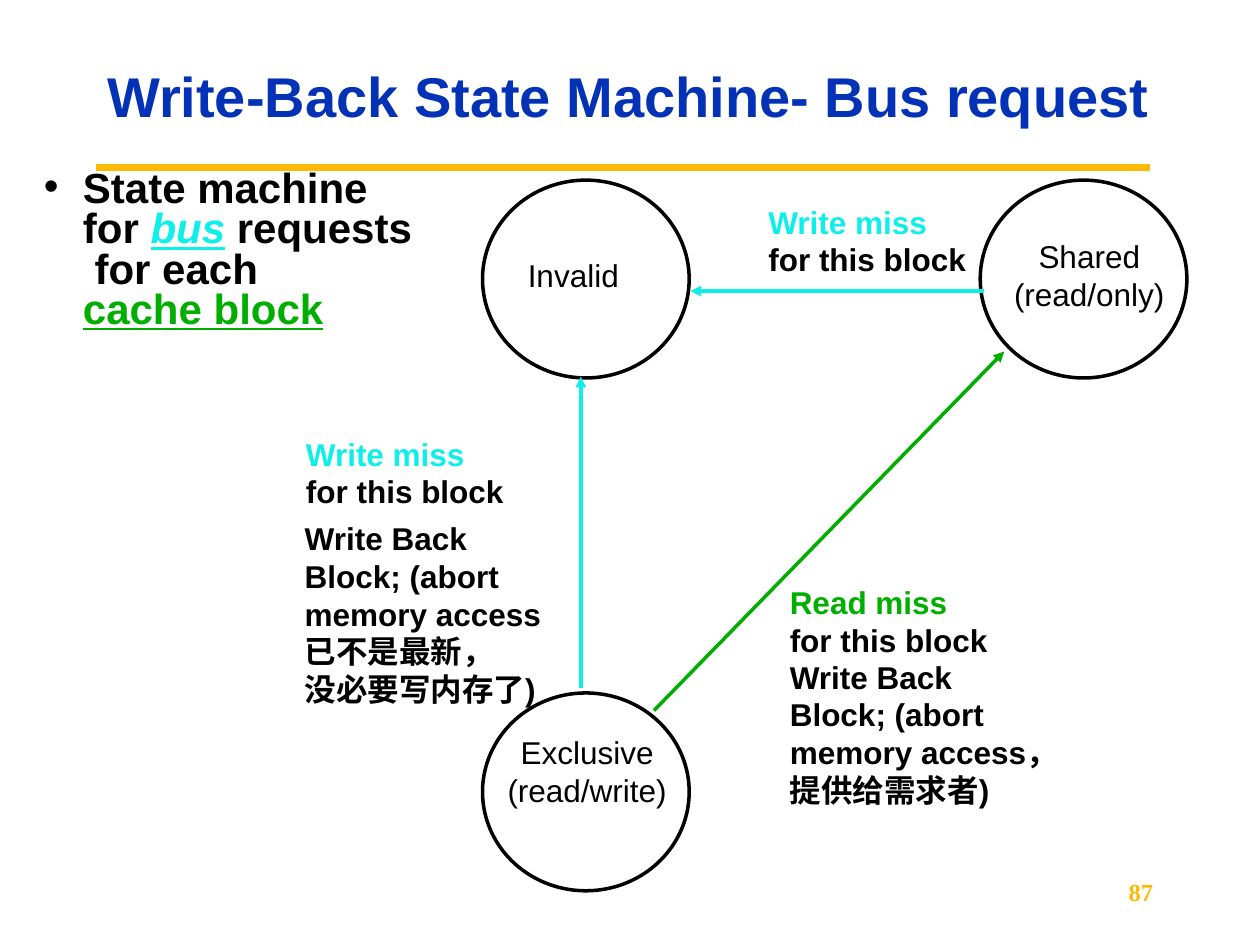
import pptx
import pptx.util
import pptx.dml.color
import pptx.enum.shapes
import pptx.enum.text
import pptx.oxml
import pptx.oxml.ns

Inches, Pt = pptx.util.Inches, pptx.util.Pt
RGBColor = pptx.dml.color.RGBColor
SHAPE = pptx.enum.shapes.MSO_SHAPE
ALIGN = pptx.enum.text.PP_ALIGN
ANCHOR = pptx.enum.text.MSO_ANCHOR
FIT = pptx.enum.text.MSO_AUTO_SIZE

BLACK = RGBColor(0x00, 0x00, 0x00)
WHITE = RGBColor(0xFF, 0xFF, 0xFF)
BLUE = RGBColor(0x03, 0x32, 0xB7)
GOLD = RGBColor(0xFB, 0xBA, 0x03)
CYAN = RGBColor(0x0F, 0xEF, 0xEA)
GREEN = RGBColor(0x00, 0xAE, 0x00)

PLAIN = {"name": "Arial", "size": Pt(18), "bold": False}
BOLD = {**PLAIN, "bold": True}
HEAD = {**BOLD, "size": Pt(32)}
BODY = {**BOLD, "size": Pt(24)}
PAGE = {"name": "Times New Roman", "size": Pt(14), "bold": True}
STATE = (1.64, 1.57)


def add_node(parent, tag, **attrs):
    node = pptx.oxml.parse_xml(
        f'<a:{tag} {pptx.oxml.ns.nsdecls("a")}/>')
    for key, value in attrs.items():
        node.set(key, value)
    parent.append(node)
    return node


def add_run(para, text, style, color=BLACK, **extra):
    for index, part in enumerate(text.split("\n")):
        if index:
            para.add_line_break()
        if part:
            run = para.add_run()
            run.text = part
            for key, value in {**style, **extra}.items():
                setattr(run.font, key, value)
            run.font.color.rgb = color


def fill_text(frame, lines, style, align=ALIGN.LEFT, color=BLACK, wrap=True):
    frame.auto_size = FIT.NONE
    frame.word_wrap = wrap
    for index, line in enumerate(lines):
        para = frame.add_paragraph() if index else frame.paragraphs[0]
        para.alignment = align
        add_run(para, line, style, color)


def add_text(slide, box, lines, style, **layout):
    frame = slide.shapes.add_textbox(*map(Inches, box)).text_frame
    fill_text(frame, lines, style, **layout)
    return frame


def add_panel(slide, box):
    shape = slide.shapes.add_shape(SHAPE.RECTANGLE, *map(Inches, box))
    shape.shadow.inherit = False
    shape.fill.solid()
    shape.fill.fore_color.rgb = WHITE
    shape.line.fill.background()
    shape.text_frame.vertical_anchor = ANCHOR.TOP
    return shape.text_frame


def add_label(slide, left, top, event, color):
    frame = add_panel(slide, (left, top, 1.77, 0.7))
    fill_text(frame, [event + " \n"], BOLD, color=color, wrap=False)
    add_run(frame.paragraphs[0], "for this block", BOLD)


def add_state(slide, left, top, filled=False):
    oval = slide.shapes.add_shape(
        SHAPE.OVAL, *map(Inches, (left, top, *STATE)))
    oval.shadow.inherit = False
    if filled:
        oval.fill.solid()
        oval.fill.fore_color.rgb = WHITE
    else:
        oval.fill.background()
    oval.line.color.rgb = BLACK
    oval.line.width = Pt(2)


def add_line(slide, start, end, color, width=2, arrow=True):
    line = slide.shapes.add_connector(
        pptx.enum.shapes.MSO_CONNECTOR.STRAIGHT, *map(Inches, start + end))
    line.line.color.rgb = color
    line.line.width = Pt(width)
    if arrow:
        add_node(line.line._get_or_add_ln(), "tailEnd", type="triangle")
    add_node(line._element.spPr, "effectLst")


def add_title(slide, box):
    title = slide.shapes.title
    title.left, title.top, title.width, title.height = map(Inches, box)
    frame = title.text_frame
    fill_text(frame, ["Write-Back State Machine- Bus request"], HEAD,
              color=BLUE)
    frame.vertical_anchor = ANCHOR.MIDDLE
    frame.paragraphs[0].line_spacing = 0.9


def add_frame(slide):
    add_line(slide, (0.76, 1.33), (9.13, 1.33), GOLD, 3.75, False)
    page = add_text(slide, (7.17, 6.83, 2.08, 0.5), ["87"], PAGE,
                    align=ALIGN.RIGHT, color=GOLD, wrap=False)
    page.vertical_anchor = ANCHOR.MIDDLE


def add_body(slide, box):
    frame = add_text(slide, box, ["State machine\nfor "], BODY)
    para = frame.paragraphs[0]
    para.line_spacing = 0.8
    props = para._p.get_or_add_pPr()
    props.set("marL", str(Inches(0.31)))
    props.set("indent", str(-Inches(0.31)))
    add_node(add_node(props, "buClr"), "srgbClr", val=str(BLACK))
    add_node(props, "buFont", typeface="Arial")
    add_node(props, "buChar", char="•")
    add_run(para, "bus", BODY, CYAN, italic=True, underline=True)
    add_run(para, " requests\n for each \n", BODY)
    add_run(para, "cache block", BODY, GREEN, underline=True)


def add_graph(slide):
    left, right, top, low = 3.83, 7.78, 1.43, 5.5
    add_state(slide, left, low, True)
    fill_text(add_panel(slide, (4.09, 1.98, 0.92, 0.4)), ["Invalid"], PLAIN,
              wrap=False)
    fill_text(add_panel(slide, (7.94, 1.83, 1.41, 0.7)),
              ["Shared", "(read/only)"], PLAIN, align=ALIGN.CENTER)
    add_text(slide, (3.9, 5.77, 1.52, 0.7), ["Exclusive", "(read/write)"],
             PLAIN, align=ALIGN.CENTER)
    abort = ["Write Back", "Block; (abort"]
    add_text(slide, (2.32, 4.07, 2.09, 1.6),
             abort + ["memory access", "已不是最新，", "没必要写内存了)"],
             BOLD, wrap=False)
    add_label(slide, 2.33, 3.4, "Write miss", CYAN)
    add_label(slide, 6.17, 4.58, "Read miss", GREEN)
    add_label(slide, 6, 1.56, "Write miss", CYAN)
    add_state(slide, left, top)
    add_state(slide, right, top)
    add_line(slide, (7.81, 2.31), (5.48, 2.31), CYAN)
    add_line(slide, (4.61, 5.46), (4.61, 2.99), CYAN)
    add_line(slide, (5.19, 5.64), (7.97, 2.79), GREEN)
    add_text(slide, (6.17, 5.17, 2.42, 1.3),
             abort + ["memory access，提供给需求者)"], BOLD)


def main():
    deck = pptx.Presentation()
    deck.slide_width, deck.slide_height = Inches(10), Inches(7.5)
    slide = deck.slides.add_slide(deck.slide_layouts[5])
    add_frame(slide)
    add_title(slide, (0.75, 0.5, 8.67, 0.58))
    add_body(slide, (0.25, 1.31, 3.42, 2.02))
    add_graph(slide)
    deck.save("out.pptx")


if __name__ == "__main__":
    main()
